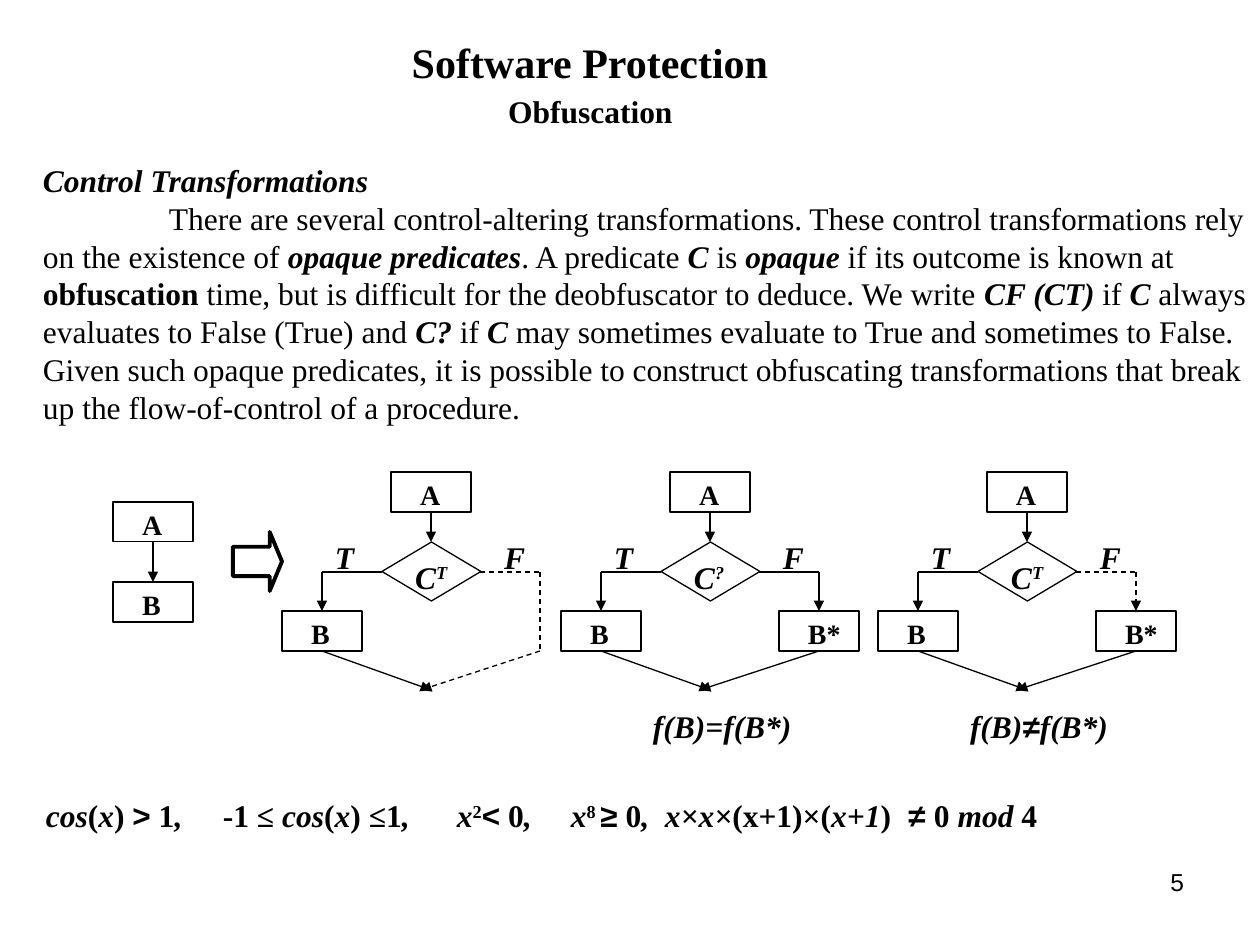
import pptx
import pptx.util
import pptx.dml.color
import pptx.enum.dml
import pptx.enum.shapes
import pptx.enum.text
import pptx.oxml
import pptx.oxml.ns

PX = 914400 // 126
BLACK = pptx.dml.color.RGBColor(0, 0, 0)
SERIF, SANS = "Times New Roman", "Arial"
ALIGN = pptx.enum.text.PP_ALIGN
SHAPE = pptx.enum.shapes.MSO_SHAPE

# A run is (text, style): b bold, i italic, a Arial, ^ superscript.
TITLE = [("Software Protection", "b")]
SUBTITLE = [("Obfuscation", "b")]
BODY = [
    [("Control Transformations", "bi")],
    [("There are several control-altering transformations. These control "
      "transformations rely on the existence of ", ""),
     ("opaque predicates", "bi"), (". A predicate ", ""), ("C ", "bi"),
     ("is ", ""), ("opaque", "bi"), (" if its outcome is known at ", ""),
     ("obfuscation", "b"),
     (" time, but is difficult for the deobfuscator to deduce. We write ", ""),
     ("CF (CT)", "bi"), (" if ", ""), ("C", "bi"), (" always", "")],
    [("evaluates to False (True) and ", ""), ("C?", "bi"), (" if ", ""),
     ("C", "bi"), (" may sometimes evaluate to True and sometimes to False.", "")],
    [("Given such opaque predicates, it is possible to construct obfuscating "
      "transformations that break up the flow-of-control of a procedure.", "")],
]
FORMULAS = [
    ("cos", "bi"), ("(", "b"), ("x", "bi"), (") ", "b"), (">", "ba"), (" 1", "b"),
    (",\t", "bi"), ("-1 ≤ ", "b"), ("cos", "bi"), ("(", "b"), ("x", "bi"),
    (")", "b"), (" ≤", "bi"), ("1", "b"), (",\tx", "bi"), ("2", "b^"),
    ("<", "ba"), (" 0", "b"), (",\tx", "bi"), ("8 ", "b^"), ("≥", "ba"),
    (" 0", "b"), (",\tx×x×", "bi"), ("(x+1)×(", "b"), ("x+1", "bi"), (")\t", "b"),
    ("≠ ", "bia"), ("0", "b"), (" mod ", "bi"), ("4", "b"),
]
FORMULA_TABS = [177, 411, 525, 619, 862]
# Each chart: left edge, predicate outcome, dashed false branch, B* box, caption.
CHARTS = [
    (282, "T", True, False, []),
    (561, "?", False, True, [("f(B)=f(B*)", "bi")]),
    (878, "T", True, True, [("f(B)", "bi"), ("≠", "bia"), ("f(B*)", "bi")]),
]
BOX_W, BOX_H = 80, 40
DIAMOND_W, DIAMOND_H = 99, 59
A_Y, DIAMOND_Y, B_Y, JOIN_Y = 472, 542, 611, 690
STEP = 109  # between the centres of B, A and B*

prs = pptx.Presentation()
prs.slide_width, prs.slide_height = 1260 * PX, 945 * PX
s = prs.slides.add_slide(prs.slide_layouts[5])


def emu(*lengths):
    return [n * PX for n in lengths]


def write(sp, paragraphs, size, align=ALIGN.LEFT, insets=(13, 6, 13, 6)):
    """Fill a shape with styled paragraphs, anchored at the top."""
    tf = sp.text_frame
    left, top, right, bottom = emu(*insets)
    frame = dict(word_wrap=True, auto_size=pptx.enum.text.MSO_AUTO_SIZE.NONE,
                 vertical_anchor=pptx.enum.text.MSO_ANCHOR.TOP, margin_left=left,
                 margin_top=top, margin_right=right, margin_bottom=bottom)
    for name, value in frame.items():
        setattr(tf, name, value)
    for n, runs in enumerate(paragraphs):
        p = tf.add_paragraph() if n else tf.paragraphs[0]
        p.alignment = align
        for text, style in runs:
            r = p.add_run()
            r.text = text
            font = dict(name=SANS if "a" in style else SERIF, bold="b" in style,
                        italic="i" in style, size=pptx.util.Pt(size))
            for name, value in font.items():
                setattr(r.font, name, value)
            r.font.color.rgb = BLACK
            if "^" in style:
                r.font._element.set("baseline", "30000")
    return tf


def add_text(x, y, w, h, paragraphs, size=18, align=ALIGN.LEFT):
    return write(s.shapes.add_textbox(*emu(x, y, w, h)), paragraphs, size, align)


def add_outline(kind, x, y, w, h, weight=0.75):
    sp = s.shapes.add_shape(kind, *emu(x, y, w, h))
    sp.shadow.inherit = False
    sp.fill.background()
    sp.line.color.rgb = BLACK
    sp.line.width = pptx.util.Pt(weight)
    return sp


def add_box(x, y, label):
    sp = add_outline(SHAPE.RECTANGLE, x, y, BOX_W, BOX_H)
    write(sp, [[(label, "b")]], 16, insets=(29, 6, 0, 0))


def add_line(x1, y1, x2, y2, arrow=True, dashed=False):
    line = s.shapes.add_connector(pptx.enum.shapes.MSO_CONNECTOR.STRAIGHT,
                                  *emu(x1, y1, x2, y2))
    line.line.color.rgb = BLACK
    line.line.width = pptx.util.Pt(0.75)
    if dashed:
        line.line.dash_style = pptx.enum.dml.MSO_LINE.DASH
    if arrow:
        tail = pptx.oxml.ns.qn("a:tailEnd")
        line.line._get_or_add_ln().makeelement(tail, {})
        end = pptx.oxml.parse_xml(
            f'<a:tailEnd {pptx.oxml.ns.nsdecls("a")} type="triangle"/>')
        line.line._get_or_add_ln().append(end)
    line._element.spPr.append(pptx.oxml.parse_xml(
        f'<a:effectLst {pptx.oxml.ns.nsdecls("a")}/>'))


def add_flowchart(x, outcome, dashed, has_b_star, caption):
    b_x = x + BOX_W // 2
    a_x, star_x = b_x + STEP, b_x + 2 * STEP
    mid_y, b_bottom = DIAMOND_Y + 30, B_Y + BOX_H
    left, right = a_x - DIAMOND_W // 2, a_x + DIAMOND_W // 2

    add_box(x + STEP, A_Y, "A")
    add_box(x, B_Y, "B")
    add_outline(SHAPE.FLOWCHART_DECISION, left, DIAMOND_Y, DIAMOND_W, DIAMOND_H)
    add_line(a_x, A_Y + BOX_H, a_x, DIAMOND_Y)
    add_line(left, mid_y, b_x, mid_y, arrow=False)
    add_line(b_x, mid_y, b_x, B_Y)
    add_line(b_x, b_bottom, a_x, JOIN_Y)
    add_line(right, mid_y, star_x, mid_y, arrow=False, dashed=dashed)
    add_line(star_x, mid_y, star_x, B_Y if has_b_star else b_bottom,
             arrow=has_b_star, dashed=dashed)
    add_line(star_x, b_bottom, a_x - 10, JOIN_Y, dashed=not has_b_star)
    if has_b_star:
        add_box(x + 2 * STEP, B_Y, "B*")

    add_text(x + 120, 552, 110, 50, [[("C", "bi"), (outcome, "bi^")]])
    add_text(b_x, 532, 59, 50, [[("T", "bi")]])
    add_text(x + 209, 532, 59, 50, [[("F", "bi")]])
    if caption:
        add_text(x + 79, 701, 218, 50, [caption])


title = s.shapes.title
title.left, title.top, title.width, title.height = emu(317, 30, 546, 63)
write(title, [TITLE], 24, ALIGN.CENTER)
add_text(382, 86, 417, 50, [SUBTITLE], align=ALIGN.CENTER)
body = add_text(30, 155, 1260, 277, BODY)
body.paragraphs[1]._p.get_or_add_pPr().set("indent", str(126 * PX))

add_box(113, 502, "A")
add_box(113, 582, "B")
add_line(153, 542, 153, 582)
arrow = add_outline(SHAPE.RIGHT_ARROW, 233, 532, 49, 59, weight=2.25)
arrow.adjustments[0], arrow.adjustments[1] = 0.5, 0.25
for chart in CHARTS:
    add_flowchart(*chart)

formulas = add_text(33, 790, 1260, 50, [FORMULAS])
stops = "".join(f'<a:tab pos="{n * PX}" algn="l"/>' for n in FORMULA_TABS)
formulas.paragraphs[0]._p.get_or_add_pPr().append(pptx.oxml.parse_xml(
    f'<a:tabLst {pptx.oxml.ns.nsdecls("a")}>{stops}</a:tabLst>'))
add_text(903, 861, 294, 66, [[("5", "a")]], 14, ALIGN.RIGHT)

prs.save("out.pptx")
